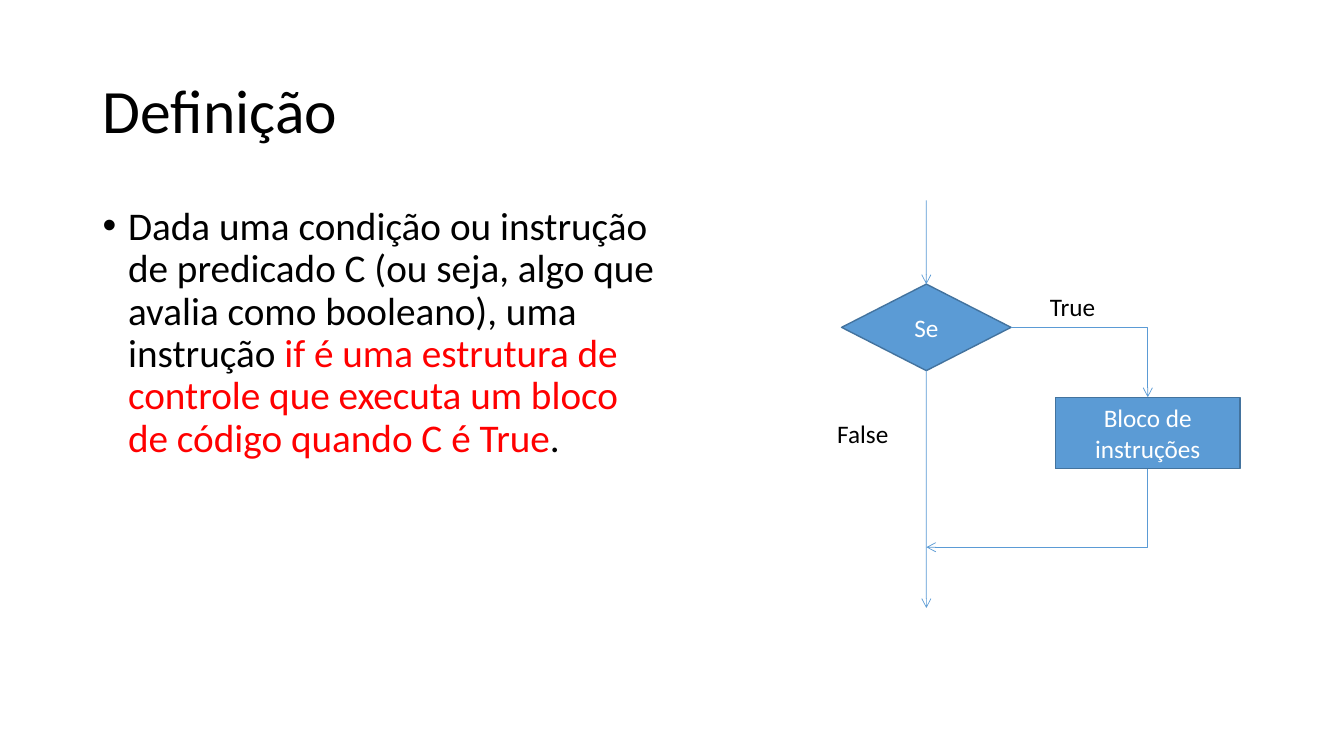
from lxml.etree import SubElement
from pptx import Presentation
from pptx.dml.color import RGBColor
from pptx.enum.shapes import MSO_CONNECTOR as LINK, MSO_SHAPE as SHAPE
from pptx.enum.text import MSO_ANCHOR as ANCHOR, PP_ALIGN as ALIGN
from pptx.oxml.ns import qn
from pptx.util import Cm, Pt

BLACK = RGBColor(0x00, 0x00, 0x00)
WHITE = RGBColor(0xFF, 0xFF, 0xFF)
RED = RGBColor(0xFF, 0x00, 0x00)
BLUE = RGBColor(0x5B, 0x9B, 0xD5)
DARK_BLUE = RGBColor(0x43, 0x73, 0x9E)

TITLE_BOX = (2.34, 1.02, 29.21, 3.68)
BODY_BOX = (2.34, 5.08, 14.4, 12.09)
FLOW_BOX = (20.85, 5.05, 10.4, 10.27)
DEFINITION = [
    ("Dada uma condição ou instrução de predicado C (ou seja, algo que "
     "avalia como booleano), uma instrução ", BLACK),
    ("if é uma estrutura de controle que executa um bloco de código "
     "quando C é True", RED),
    (".", BLACK),
]


def apply_format(target, values):
    """Set every attribute named in values on target."""
    for name, value in values.items():
        setattr(target, name, value)


def write(holder, runs, size, frame_format, paragraph_format):
    """Write coloured runs as the one paragraph of holder."""
    apply_format(holder.text_frame, {"word_wrap": True, **frame_format})
    paragraph = holder.text_frame.paragraphs[0]
    apply_format(paragraph, paragraph_format)
    for words, color in runs:
        run = paragraph.add_run()
        run.text = words
        apply_format(run.font, {"name": "Calibri", "size": Pt(size)})
        run.font.color.rgb = color
    return paragraph


def add_text(slide, box, runs, size, frame_format, paragraph_format):
    """Add a text box at box, given in centimetres."""
    holder = slide.shapes.add_textbox(*map(Cm, box))
    return write(holder, runs, size, frame_format, paragraph_format)


def add_title(slide, box):
    """Add the slide title."""
    add_text(slide, box, [("Definição", BLACK)], 44,
             {"vertical_anchor": ANCHOR.MIDDLE}, {"line_spacing": 0.9})


def add_definition(slide, box):
    """Add the bulleted definition."""
    paragraph = add_text(slide, box, DEFINITION, 28, {},
                         {"line_spacing": 0.9, "space_before": Pt(10)})
    properties = paragraph._p.get_or_add_pPr()
    properties.set("marL", str(Cm(0.64)))
    properties.set("indent", str(Cm(-0.64)))
    SubElement(properties, qn("a:buFont"), typeface="Arial")
    SubElement(properties, qn("a:buChar"), char="•")


def add_step(slide, kind, box, words):
    """Add one filled flowchart step."""
    step = slide.shapes.add_shape(kind, *map(Cm, box))
    step.shadow.inherit = False
    step.fill.solid()
    step.fill.fore_color.rgb = BLUE
    step.line.color.rgb = DARK_BLUE
    step.line.width = Pt(1)
    write(step, [(words, WHITE)], 18, {"vertical_anchor": ANCHOR.MIDDLE},
          {"alignment": ALIGN.CENTER})
    return step


def add_arrow(slide, kind, start, end):
    """Add a thin arrow; an elbow turns once, going right and then down."""
    arrow = slide.shapes.add_connector(kind, *map(Cm, start + end))
    arrow.line.color.rgb = BLUE
    arrow.line.width = Pt(0.5)
    properties = arrow._element.spPr
    SubElement(arrow.line._get_or_add_ln(), qn("a:tailEnd"), type="arrow")
    SubElement(properties, qn("a:effectLst"))
    if kind == LINK.ELBOW:
        properties.find(qn("a:prstGeom")).set("prst", "bentConnector2")
    return arrow


def add_flowchart(slide, box):
    """Add the flowchart of the if statement."""
    left, top, width, height = box
    test_box = (left + 0.36, top + 2.11, 4.27, 2.18)
    block_box = (left + width - 4.65, top + 4.96, 4.65, 1.8)
    axis = test_box[0] + test_box[2] / 2
    test_middle = test_box[1] + test_box[3] / 2
    test_bottom = test_box[1] + test_box[3]
    block_axis = block_box[0] + block_box[2] / 2
    block_bottom = block_box[1] + block_box[3]

    test = add_step(slide, SHAPE.FLOWCHART_DECISION, test_box, "Se")
    block = add_step(slide, SHAPE.FLOWCHART_PROCESS, block_box,
                     "Bloco de instruções")

    entry = add_arrow(slide, LINK.STRAIGHT, (axis, top), (axis, test_box[1]))
    entry.end_connect(test, 0)
    leave = add_arrow(slide, LINK.STRAIGHT, (axis, test_bottom),
                      (axis, top + height))
    leave.begin_connect(test, 2)
    when_true = add_arrow(slide, LINK.ELBOW,
                          (test_box[0] + test_box[2], test_middle),
                          (block_axis, block_box[1]))
    when_true.begin_connect(test, 3)
    when_true.end_connect(block, 0)

    drop, reach = 1.98, block_axis - axis
    middle_x = (axis + block_axis) / 2
    middle_y = block_bottom + drop / 2
    merge = add_arrow(slide, LINK.ELBOW,
                      (middle_x - drop / 2, middle_y - reach / 2),
                      (middle_x + drop / 2, middle_y + reach / 2))
    merge._element.spPr.find(qn("a:xfrm")).set("rot", str(90 * 60000))

    for words, right, down in (("True", 5.36, 2.16), ("False", 0, 5.36)):
        add_text(slide, (left + right, top + down, 2.57, 1.02),
                 [(words, BLACK)], 18, {}, {})


def main():
    """Build and save the slide."""
    deck = Presentation()
    apply_format(deck, {"slide_width": Cm(33.87), "slide_height": Cm(19.05)})
    slide = deck.slides.add_slide(deck.slide_layouts[6])
    add_title(slide, TITLE_BOX)
    add_definition(slide, BODY_BOX)
    add_flowchart(slide, FLOW_BOX)
    deck.save("out.pptx")


if __name__ == "__main__":
    main()
